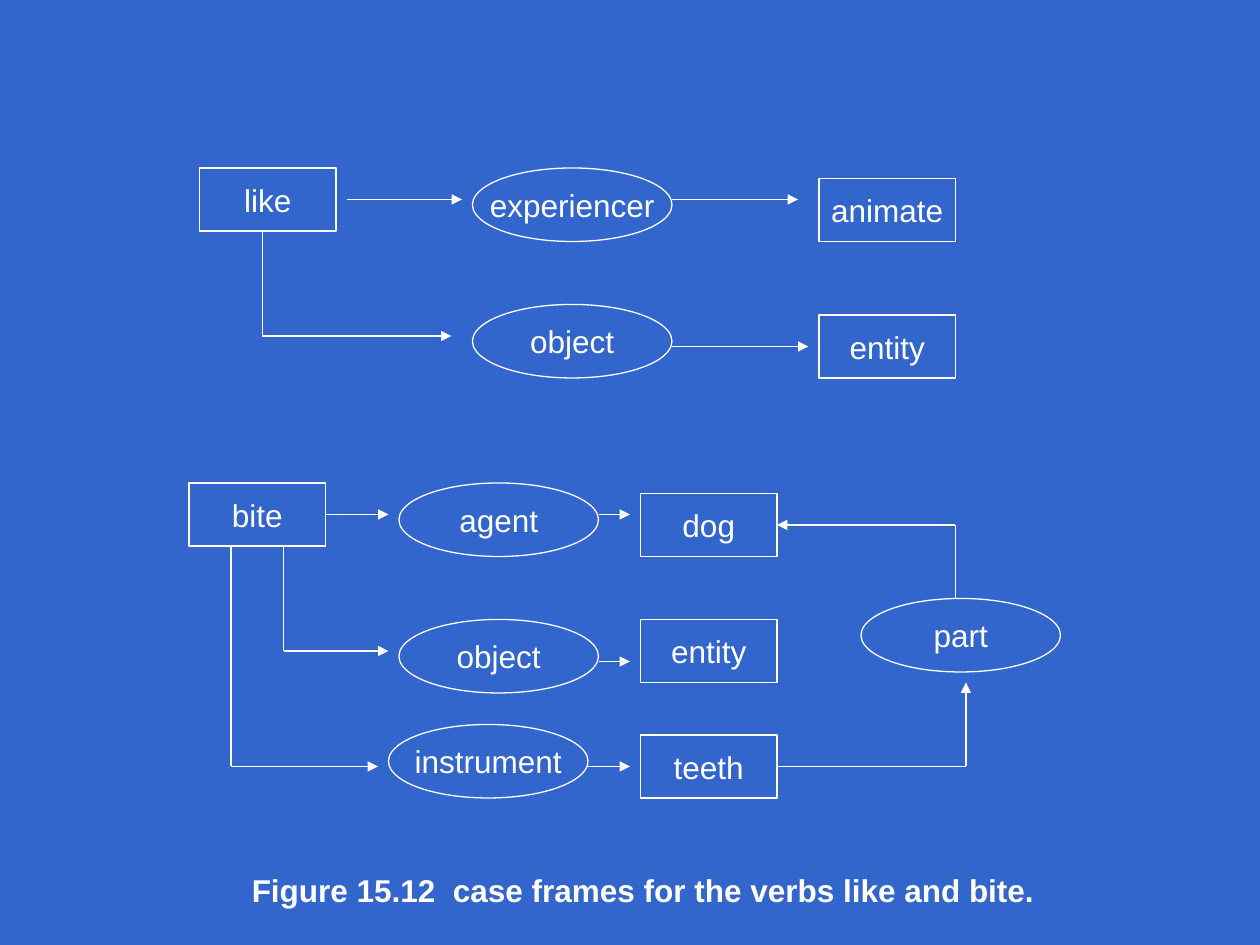
import pptx
import pptx.dml.color
import pptx.enum.shapes
import pptx.enum.text
import pptx.oxml
import pptx.oxml.ns
import pptx.util
from dataclasses import dataclass
from itertools import pairwise

SHAPE = pptx.enum.shapes.MSO_SHAPE
RGB = pptx.dml.color.RGBColor.from_string


@dataclass(frozen=True)
class Theme:
    background: str = "3366CC"
    ink: str = "FFFFFF"
    font: str = "Arial"
    text_size: int = 18
    line_width: float = 0.75


THEME = Theme()
PX_PER_INCH = 120
SLIDE_SIZE = (1200, 900)
CONCEPT_SIZE = (130, 60)
ROLE_SIZE = (190, 70)

CAPTION = "Figure 15.12  case frames for the verbs like and bite."
CAPTION_BOX = (228, 824, 769, 48)

CASE_FRAMES = [
    {
        "concepts": [("like", 190, 160), ("entity", 780, 300), ("animate", 780, 170)],
        "roles": [("experiencer", 450, 160), ("object", 450, 290)],
        "arrows": [
            [(330, 190), (440, 190)],
            [(250, 220), (250, 320), (430, 320)],
            [(640, 190), (760, 190)],
            [(640, 330), (770, 330)],
        ],
    },
    {
        "concepts": [("teeth", 610, 700), ("entity", 610, 590),
                     ("dog", 610, 470), ("bite", 180, 460)],
        "roles": [("instrument", 370, 690), ("agent", 380, 460),
                  ("object", 380, 590), ("part", 820, 570)],
        "arrows": [
            [(310, 490), (370, 490)],
            [(270, 520), (270, 620), (370, 620)],
            [(220, 520), (220, 730), (360, 730)],
            [(570, 490), (600, 490)],
            [(570, 630), (600, 630)],
            [(560, 730), (600, 730)],
            [(740, 730), (920, 730), (920, 650)],
            [(910, 570), (910, 500), (740, 500)],
        ],
    },
]


def emu(*lengths):
    return [pptx.util.Emu(n * pptx.util.Inches(1) // PX_PER_INCH) for n in lengths]


def style_line(line):
    line.color.rgb = RGB(THEME.ink)
    line.width = pptx.util.Pt(THEME.line_width)


def set_text(tf, text, bold=False):
    tf.text = text
    tf.word_wrap = False
    font = tf.paragraphs[0].runs[0].font
    font.name = THEME.font
    font.size = pptx.util.Pt(THEME.text_size)
    font.bold = bold
    font.color.rgb = RGB(THEME.ink)


def add_node(shapes, kind, size, text, x, y):
    sp = shapes.add_shape(kind, *emu(x, y, *size))
    sp.shadow.inherit = False
    sp.fill.background()
    style_line(sp.line)
    set_text(sp.text_frame, text)
    sp.text_frame.vertical_anchor = pptx.enum.text.MSO_ANCHOR.MIDDLE
    sp.text_frame.paragraphs[0].alignment = pptx.enum.text.PP_ALIGN.CENTER


def add_arrow(shapes, points):
    for start, end in pairwise(points):
        line = shapes.add_connector(
            pptx.enum.shapes.MSO_CONNECTOR.STRAIGHT, *emu(*start, *end))
        style_line(line.line)
        props = line._element.spPr
        pptx.oxml.ns.qn("a:effectLst")
        props.append(props.makeelement(pptx.oxml.ns.qn("a:effectLst"), {}))
    ln = line.line._get_or_add_ln()
    ln.append(ln.makeelement(pptx.oxml.ns.qn("a:tailEnd"), {"type": "triangle"}))


def add_case_frame(slide, frame):
    shapes = slide.shapes.add_group_shape().shapes
    for node in frame["concepts"]:
        add_node(shapes, SHAPE.RECTANGLE, CONCEPT_SIZE, *node)
    for node in frame["roles"]:
        add_node(shapes, SHAPE.OVAL, ROLE_SIZE, *node)
    for points in frame["arrows"]:
        add_arrow(shapes, points)


def main():
    prs = pptx.Presentation()
    prs.slide_width, prs.slide_height = emu(*SLIDE_SIZE)
    slide = prs.slides.add_slide(prs.slide_layouts[6])
    slide.background.fill.solid()
    slide.background.fill.fore_color.rgb = RGB(THEME.background)
    for frame in CASE_FRAMES:
        add_case_frame(slide, frame)
    caption = slide.shapes.add_textbox(*emu(*CAPTION_BOX))
    set_text(caption.text_frame, CAPTION, bold=True)
    prs.save("out.pptx")


if __name__ == "__main__":
    main()
